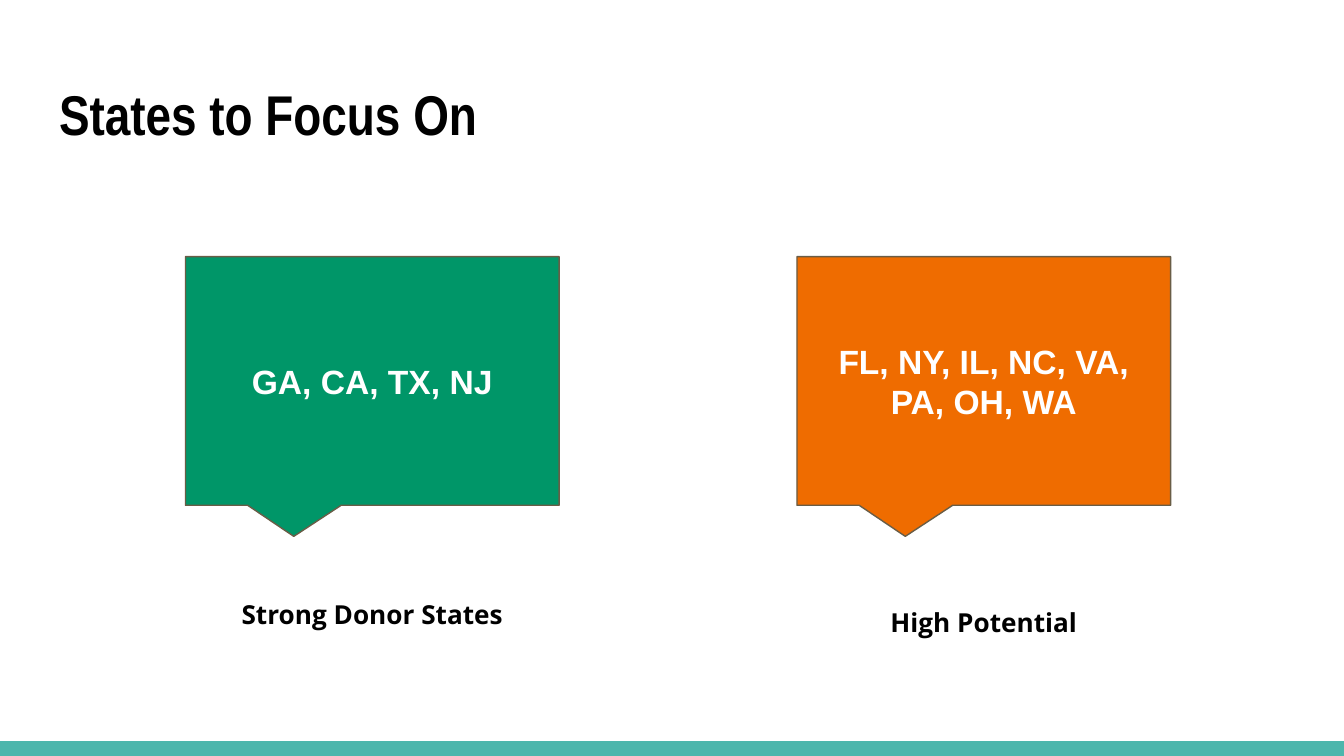
"""Build the slide "States to Focus On" with two callouts and their captions."""
from dataclasses import dataclass

from pptx import Presentation, util as u
from pptx.dml.color import RGBColor
from pptx.enum import shapes, text


@dataclass(frozen=True)
class Theme:
    paper: str = "FFFFFF"
    ink: str = "000000"
    band: str = "4DB6AC"
    outline: str = "695D46"
    strong: str = "009668"
    potential: str = "EF6C00"
    title_size: int = 30
    states_size: int = 18
    caption_size: int = 14


def paint(shape, color):
    shape.shadow.inherit = False
    shape.fill.solid()
    shape.fill.fore_color.rgb = RGBColor.from_string(color)
    shape.line.fill.background()


def write(shape, words, family, size, color, align, anchor=text.MSO_ANCHOR.TOP):
    frame = shape.text_frame
    frame.text = words
    frame.word_wrap = True
    frame.auto_size = text.MSO_AUTO_SIZE.NONE
    frame.vertical_anchor = anchor
    frame.margin_left = frame.margin_right = u.Inches(0.1)
    frame.margin_top = frame.margin_bottom = u.Inches(0.1)
    paragraph = frame.paragraphs[0]
    paragraph.alignment = align
    paragraph.font.name = family
    paragraph.font.size = u.Pt(size)
    paragraph.font.bold = True
    paragraph.font.color.rgb = RGBColor.from_string(color)


theme = Theme()
deck = Presentation()
deck.slide_width, deck.slide_height = u.Inches(10), u.Inches(5.625)
slide = deck.slides.add_slide(deck.slide_layouts[5])
slide.background.fill.solid()
slide.background.fill.fore_color.rgb = RGBColor.from_string(theme.paper)

band_height = u.Inches(0.11)
band = slide.shapes.add_shape(
    shapes.MSO_SHAPE.RECTANGLE, 0, deck.slide_height - band_height, deck.slide_width, band_height)
paint(band, theme.band)

title = slide.shapes.title
title.left, title.top = u.Inches(0.34), u.Inches(0.49)
title.width, title.height = deck.slide_width - 2 * title.left, u.Inches(0.77)
write(title, "States to Focus On", "Arial Narrow", theme.title_size, theme.ink, text.PP_ALIGN.LEFT)

first_center, column_step = u.Inches(2.77), u.Inches(4.55)
callout_width, callout_height = u.Inches(2.78), u.Inches(1.85)
caption_width, caption_height = u.Inches(2.89), u.Inches(0.62)
groups = [
    ("GA, CA, TX, NJ", "Strong Donor States", theme.strong, 4.35),
    ("FL, NY, IL, NC, VA, PA, OH, WA", "High Potential", theme.potential, 4.41),
]
for column, (states, label, color, label_top) in enumerate(groups):
    center = first_center + column * column_step
    callout = slide.shapes.add_shape(
        shapes.MSO_SHAPE.ROUNDED_RECTANGULAR_CALLOUT,
        center - callout_width // 2, u.Inches(1.91), callout_width, callout_height)
    for index, value in enumerate((-0.21, 0.625, 0)):
        callout.adjustments[index] = value
    paint(callout, color)
    callout.line.color.rgb = RGBColor.from_string(theme.outline)
    callout.line.width = u.Pt(0.75)
    write(callout, states, "Arial", theme.states_size, theme.paper,
          text.PP_ALIGN.CENTER, text.MSO_ANCHOR.MIDDLE)

    caption = slide.shapes.add_textbox(
        center - caption_width // 2, u.Inches(label_top), caption_width, caption_height)
    write(caption, label, "Open Sans", theme.caption_size, theme.ink, text.PP_ALIGN.CENTER)

deck.save("out.pptx")
